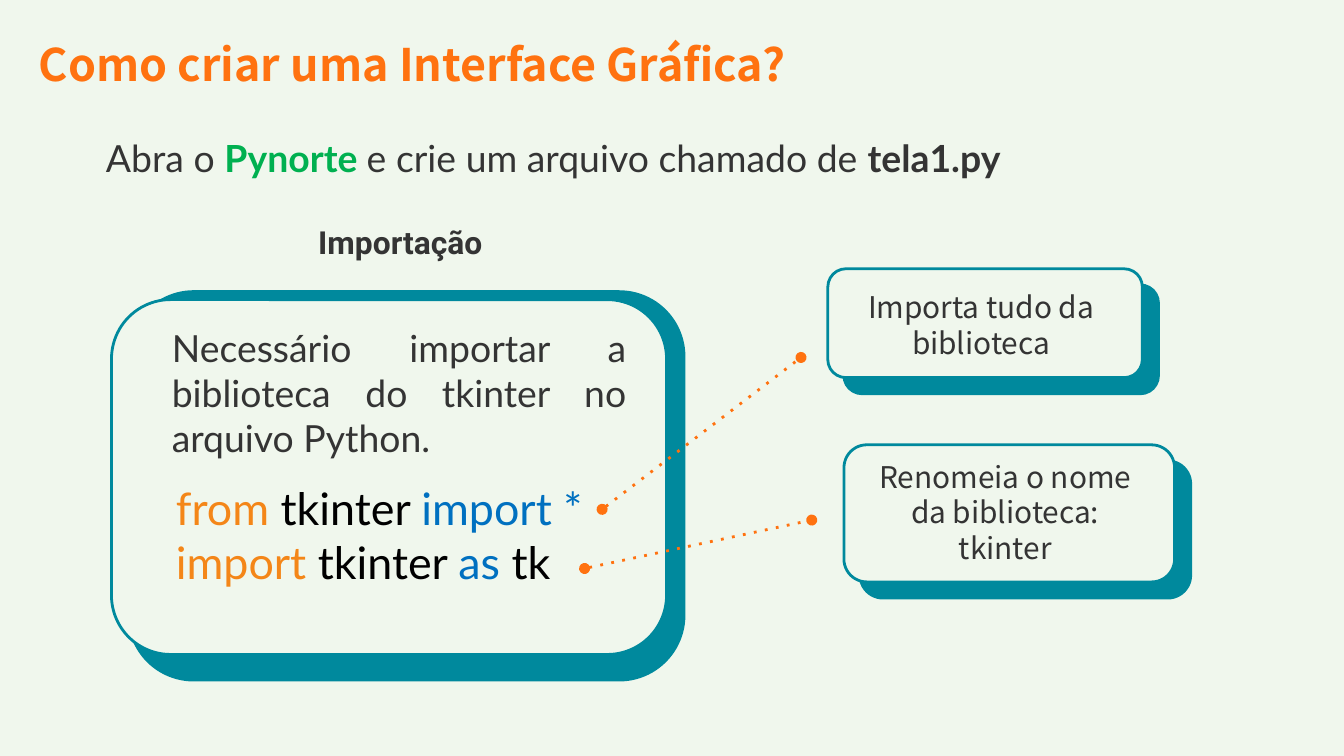
from lxml import etree
from pptx import Presentation
from pptx.dml.color import RGBColor
from pptx.enum import shapes, text
from pptx.oxml.ns import qn
from pptx.util import Inches, Pt

HUES = {
    "back": "F0F7ED", "teal": "00899D", "orange": "FF7210", "ink": "343434",
    "green": "00B050", "amber": "F48618", "black": "000000", "blue": "0070C0",
}
SANS, LATO, ROBOTO = "Noto Sans CJK JP", "Lato", "Roboto"
LEFT, MID, FULL = (text.PP_ALIGN.LEFT, text.PP_ALIGN.CENTER,
                   text.PP_ALIGN.JUSTIFY)


def hue(name):
    return RGBColor.from_string(HUES[name])


def add_text(slide, box, lines, size, face, align=LEFT, bold=None, inset=0.1):
    """Each line is a list of (words, colour, bold) runs."""
    frame = slide.shapes.add_textbox(*map(Inches, box)).text_frame
    frame.word_wrap = True
    frame.margin_left = frame.margin_right = Inches(0.1)
    frame.margin_top = frame.margin_bottom = Inches(inset)
    for i, line in enumerate(lines):
        para = frame.paragraphs[0] if i == 0 else frame.add_paragraph()
        para.alignment = align
        para.font.size, para.font.name, para.font.bold = Pt(size), face, bold
        for words, color, *heavy in line:
            run = para.add_run()
            run.text = words
            run.font.color.rgb = hue(color)
            if heavy:
                run.font.bold = heavy[0]


def add_round(slide, box, fill):
    shape = slide.shapes.add_shape(
        shapes.MSO_SHAPE.ROUNDED_RECTANGLE, *map(Inches, box))
    shape.shadow.inherit = False
    shape.fill.solid()
    shape.fill.fore_color.rgb = hue(fill)
    shape.line.color.rgb = hue("teal")
    shape.line.width = Pt(1.5)


def add_card(slide, box, shift, grow=0):
    """A light card over a teal one moved by shift and taller by grow."""
    x, y, w, h = box
    dx, dy = shift
    add_round(slide, (x + dx, y + dy, w, h + grow), "teal")
    add_round(slide, box, "back")


def add_link(slide, start, end):
    """A dotted line with a round dot at each end."""
    link = slide.shapes.add_connector(
        shapes.MSO_CONNECTOR.STRAIGHT, *map(Inches, start + end))
    link.line.color.rgb = hue("orange")
    link.line.width = Pt(1.5)
    line = link._element.spPr.find(qn("a:ln"))
    etree.SubElement(line, qn("a:prstDash"), val="dot")
    for tag in ("a:headEnd", "a:tailEnd"):
        etree.SubElement(line, qn(tag), type="oval")
    etree.SubElement(link._element.spPr, qn("a:effectLst"))


def add_head(slide, x, y):
    add_text(slide, (x, y, 7.65, 0.61),
             [[("Como criar uma Interface Gráfica?", "orange")]],
             24, SANS, bold=True)
    add_text(slide, (x + 0.5, y + 0.79, 8.95, 0.44),
             [[("Abra o ", "ink"), ("Pynorte ", "green", True),
               ("e crie um arquivo chamado de ", "ink"),
               ("tela1.py", "ink", True)]],
             20, LATO, FULL, inset=0.05)


def add_panel(slide, x, y, w, h):
    add_card(slide, (x, y, w, h), (0.13, -0.06), 0.25)
    add_text(slide, (x + 1.03, y - 0.67, 2.24, 0.4),
             [[("Importação", "ink")]], 17, ROBOTO, MID, True)
    add_text(slide, (x + 0.35, y + 0.09, 3.58, 1.22),
             [[("Necessário importar a biblioteca do tkinter no "
                "arquivo Python.", "ink")]], 20, LATO, FULL)
    add_text(slide, (x + 0.38, y + 1.3, 3.58, 0.91),
             [[("from ", "amber"), ("tkinter ", "black"),
               ("import *", "blue")],
              [("import ", "amber"), ("tkinter ", "black"),
               ("as ", "blue"), ("tk", "black")]],
             24, LATO, inset=0.05)


def add_note(slide, box, inner, words):
    """A card with a caption; inner is the caption's place in the card."""
    x, y = box[:2]
    add_card(slide, box, (0.12, 0.12))
    add_text(slide, (x + inner[0], y + inner[1], 2.24, 0.66),
             [[(words, "ink")]], 16, SANS, MID)


def main():
    deck = Presentation()
    deck.slide_width = Inches(10)
    deck.slide_height = deck.slide_width * 9 // 16
    slide = deck.slides.add_slide(deck.slide_layouts[6])
    slide.background.fill.solid()
    slide.background.fill.fore_color.rgb = hue("back")

    # Title and instruction
    add_head(slide, 0.19, 0.17)

    # Import panel and its two notes
    add_panel(slide, 0.83, 2.23, 4.13, 2.64)
    add_note(slide, (6.16, 2, 2.34, 0.81), (0.02, 0.05),
             "Importa tudo da biblioteca")
    add_note(slide, (6.28, 3.31, 2.46, 1.02), (0.08, 0),
             "Renomeia o nome da biblioteca: tkinter")

    # Dotted links from code to notes
    add_link(slide, (4.48, 3.79), (5.96, 2.66))
    add_link(slide, (4.35, 4.23), (6.04, 3.87))
    deck.save("out.pptx")


if __name__ == "__main__":
    main()
